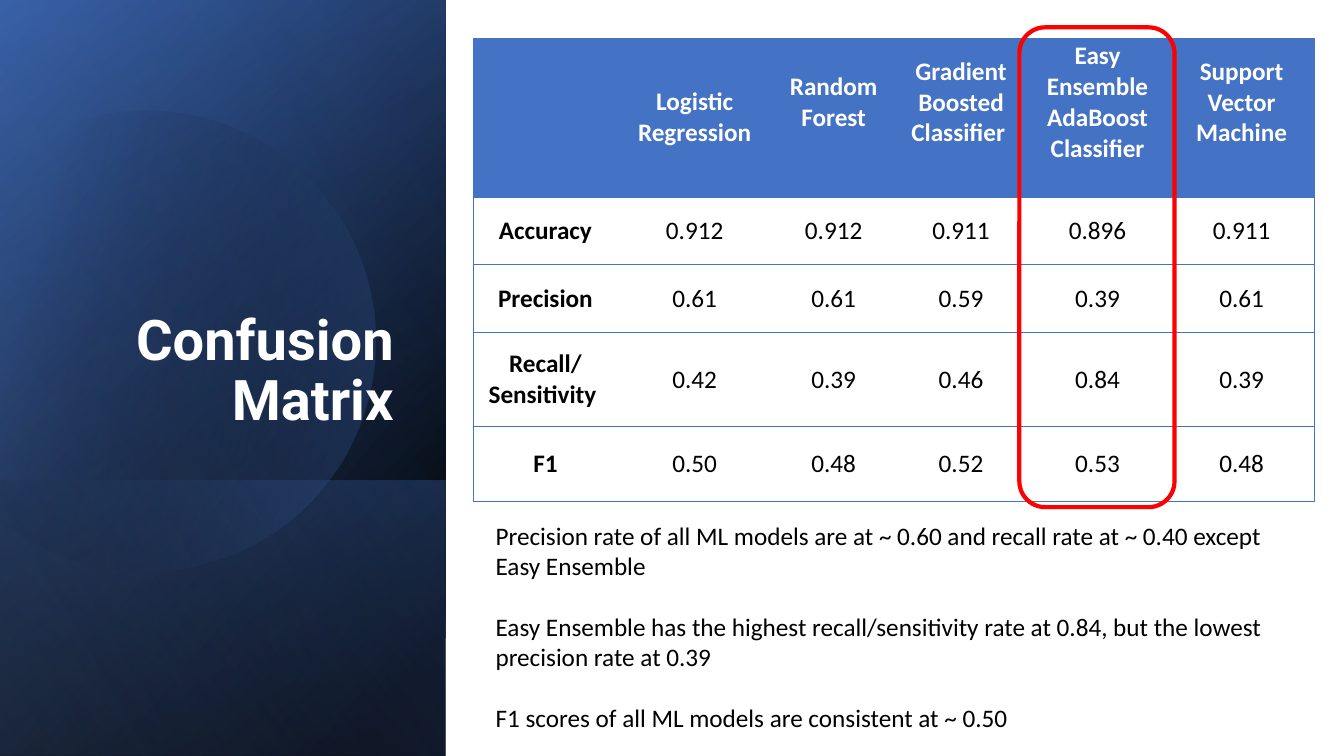
"""Build the confusion matrix slide comparing five classifiers."""
import dataclasses
import itertools
import math

import lxml.etree
import pptx
import pptx.dml.color
import pptx.enum.shapes
import pptx.enum.text
import pptx.oxml.ns
import pptx.util

Cm = pptx.util.Cm
Pt = pptx.util.Pt
RGB = pptx.dml.color.RGBColor.from_string
qn = pptx.oxml.ns.qn
ALIGN = pptx.enum.text.PP_ALIGN
ANCHOR = pptx.enum.text.MSO_ANCHOR
PRESET = pptx.enum.shapes.MSO_SHAPE


@dataclasses.dataclass(frozen=True)
class Theme:
    black: str = "000000"
    white: str = "FFFFFF"
    blue: str = "4472C4"
    deep_blue: str = "2F5597"
    pale_blue: str = "8FAADC"
    red: str = "FF0000"
    title_font: str = "Roboto"
    body_font: str = "Calibri"
    title_size: int = 40
    body_size: int = 18
    plain_table: str = "{2D5ABB26-0587-4C30-8999-92F81FD0307C}"


def write(frame, text, font, size, color, bold=False, align=ALIGN.LEFT,
          anchor=ANCHOR.TOP, line_spacing=None, gap=0):
    frame.word_wrap = True
    frame.vertical_anchor = anchor
    for index, line in enumerate(text.split("\n")):
        paragraph = frame.paragraphs[0] if index == 0 else frame.add_paragraph()
        paragraph.alignment = align
        paragraph.line_spacing = line_spacing
        if index:
            paragraph.space_before = Pt(gap)
        run = paragraph.add_run()
        run.text = line
        run.font.name, run.font.size, run.font.bold = font, Pt(size), bold
        run.font.color.rgb = RGB(color)


class SlideBuilder:
    def __init__(self, slide, theme):
        self.slide, self.theme = slide, theme

    def shape(self, preset, left, top, width, height):
        shape = self.slide.shapes.add_shape(
            preset, Cm(left), Cm(top), Cm(width), Cm(height))
        shape.shadow.inherit = False
        return shape

    def shade(self, shape, stops, angle):
        shape.fill.gradient()
        shape.fill.gradient_angle = 360 - angle
        for stop, (position, color, _) in zip(shape.fill.gradient_stops, stops):
            stop.position = position / 100
            stop.color.rgb = RGB(color)
        tints = shape._element.spPr.iter(qn("a:srgbClr"))
        for tint, (_, _, opacity) in zip(list(tints), stops):
            lxml.etree.SubElement(tint, qn("a:alpha"), val=str(opacity * 1000))
        shape.line.fill.background()

    def backdrop(self, width, height):
        backdrop = self.shape(PRESET.RECTANGLE, 0, 0, width, height)
        backdrop.fill.solid()
        backdrop.fill.fore_color.rgb = RGB(self.theme.white)
        backdrop.line.fill.background()

    def panel(self, top, height, stops, angle, width=11.23):
        left = (width - height) / 2
        panel = self.shape(PRESET.RECTANGLE, left, top - left, height, width)
        panel.rotation = 90
        panel._element.spPr.xfrm.set("flipH", "1")
        self.shade(panel, stops, angle)

    def cut_circle(self, x, y, radius, turns, rotation, stops, angle):
        def point(turn, pull=0.0):
            cos, sin = math.cos(math.radians(turn)), math.sin(math.radians(turn))
            return (Cm(x + radius * (cos - pull * sin)),
                    Cm(y + radius * (sin + pull * cos)))

        outline = self.slide.shapes.build_freeform(*point(turns[0]))
        outline.add_line_segments([point(turn) for turn in turns[1:]], close=True)
        circle = outline.convert_to_shape()
        circle.shadow.inherit = False
        segments = list(circle._element.spPr.iter(qn("a:lnTo")))
        for segment, (start, end) in zip(segments, itertools.pairwise(turns)):
            pull = 4 / 3 * math.tan(math.radians(end - start) / 4)
            curve = lxml.etree.Element(qn("a:cubicBezTo"))
            for px, py in (point(start, pull), point(end, -pull), point(end)):
                lxml.etree.SubElement(curve, qn("a:pt"), x=str(px - circle.left),
                                      y=str(py - circle.top))
            segment.getparent().replace(segment, curve)
        circle.rotation = rotation
        self.shade(circle, stops, angle)

    def highlight(self, left, top, width, height):
        marker = self.shape(PRESET.ROUNDED_RECTANGLE, left, top, width, height)
        marker.fill.background()
        marker.line.color.rgb = RGB(self.theme.red)
        marker.line.width = Pt(3)

    def text(self, left, top, width, height, text, **style):
        box = self.slide.shapes.add_textbox(Cm(left), Cm(top), Cm(width), Cm(height))
        write(box.text_frame, text, **style)

    def borders(self, cell, sides):
        for side in sides:
            line = lxml.etree.SubElement(
                cell._tc.get_or_add_tcPr(), qn("a:ln" + side), w=str(Pt(0.5)))
            fill = lxml.etree.SubElement(line, qn("a:solidFill"))
            lxml.etree.SubElement(fill, qn("a:srgbClr"), val=self.theme.blue)

    def table(self, left, top, widths, heights, rows, raised):
        theme = self.theme
        table = self.slide.shapes.add_table(
            len(rows), len(widths), Cm(left), Cm(top),
            Cm(sum(widths)), Cm(sum(heights))).table
        table.first_row = table.horz_banding = False
        table._tbl.tblPr.find(qn("a:tableStyleId")).text = theme.plain_table
        for column, width in zip(table.columns, widths):
            column.width = Cm(width)
        for row, height in zip(table.rows, heights):
            row.height = Cm(height)
        for r, values in enumerate(rows):
            level = "T" if r == 0 else "TB" if r % 2 else "B" * (r == len(rows) - 1)
            for c, value in enumerate(values):
                cell = table.cell(r, c)
                edge = "L" if c == 0 else "R" if c == len(widths) - 1 else ""
                self.borders(cell, edge + level)
                if r == 0:
                    cell.fill.solid()
                    cell.fill.fore_color.rgb = RGB(theme.blue)
                else:
                    cell.fill.background()
                cell.margin_left = cell.margin_right = Cm(0.13)
                cell.margin_top = cell.margin_bottom = Cm(0.05)
                if r == 0 and c in raised:
                    cell.margin_bottom = Cm(0.82)
                cell.vertical_anchor = ANCHOR.MIDDLE
                if value:
                    write(cell.text_frame, value, font=theme.body_font,
                          size=theme.body_size, bold=r == 0 or c == 0,
                          color=theme.black if r else theme.white,
                          align=ALIGN.CENTER, anchor=None)


SCORES = [
    ["", "Logistic Regression", "Random Forest", "Gradient Boosted Classifier ",
     "Easy Ensemble AdaBoost\nClassifier", "Support Vector Machine"],
    ["Accuracy", "0.912", "0.912", "0.911", "0.896", "0.911"],
    ["Precision", "0.61", "0.61", "0.59", "0.39", "0.61"],
    ["Recall/\nSensitivity ", "0.42", "0.39", "0.46", "0.84", "0.39"],
    ["F1", "0.50", "0.48", "0.52", "0.53", "0.48"],
]
FINDINGS = "\n".join([
    "Precision rate of all ML models are at ~ 0.60 and recall rate at ~ 0.40 "
    "except Easy Ensemble",
    "Easy Ensemble has the highest recall/sensitivity rate at 0.84, but the "
    "lowest precision rate at 0.39",
    "F1 scores of all ML models are consistent at ~ 0.50",
])


def main():
    theme = Theme()
    deck = pptx.Presentation()
    deck.slide_width, deck.slide_height = Cm(33.87), Cm(19.05)
    builder = SlideBuilder(deck.slides.add_slide(deck.slide_layouts[6]), theme)

    builder.backdrop(33.87, 19.05)
    builder.panel(0, 19.05, [(8, theme.black, 100), (100, theme.deep_blue, 100)], 50)
    builder.panel(0, 19.05, [(0, theme.black, 0), (99, theme.blue, 46)], 30)
    builder.panel(12.1, 6.95, [(2, theme.blue, 29), (100, theme.black, 30)], 130)
    builder.cut_circle(3.65, 8.49, 5.8, [-118, -90, 0, 90, 150], 343.9,
                       [(29, theme.black, 0), (100, theme.blue, 43)], 30)
    builder.panel(0, 19.05, [(0, theme.black, 0), (99, theme.pale_blue, 11)], 120)

    builder.text(1.28, 1.63, 8.89, 9.4, "Confusion Matrix", font=theme.title_font,
                 size=theme.title_size, color=theme.white, bold=True,
                 align=ALIGN.RIGHT, anchor=ANCHOR.BOTTOM, line_spacing=0.9)
    builder.table(11.93, 0.96, [3.63, 3.89, 3.12, 3.3, 3.58, 3.68],
                  [4.01, 1.7, 1.7, 2.38, 1.88], SCORES, raised=range(2, 6))
    builder.highlight(25.69, 0.69, 3.91, 12.09)
    builder.text(12.24, 12.98, 20.4, 6.4, FINDINGS, font=theme.body_font,
                 size=theme.body_size, color=theme.black, gap=21.8)
    deck.save("out.pptx")


if __name__ == "__main__":
    main()
